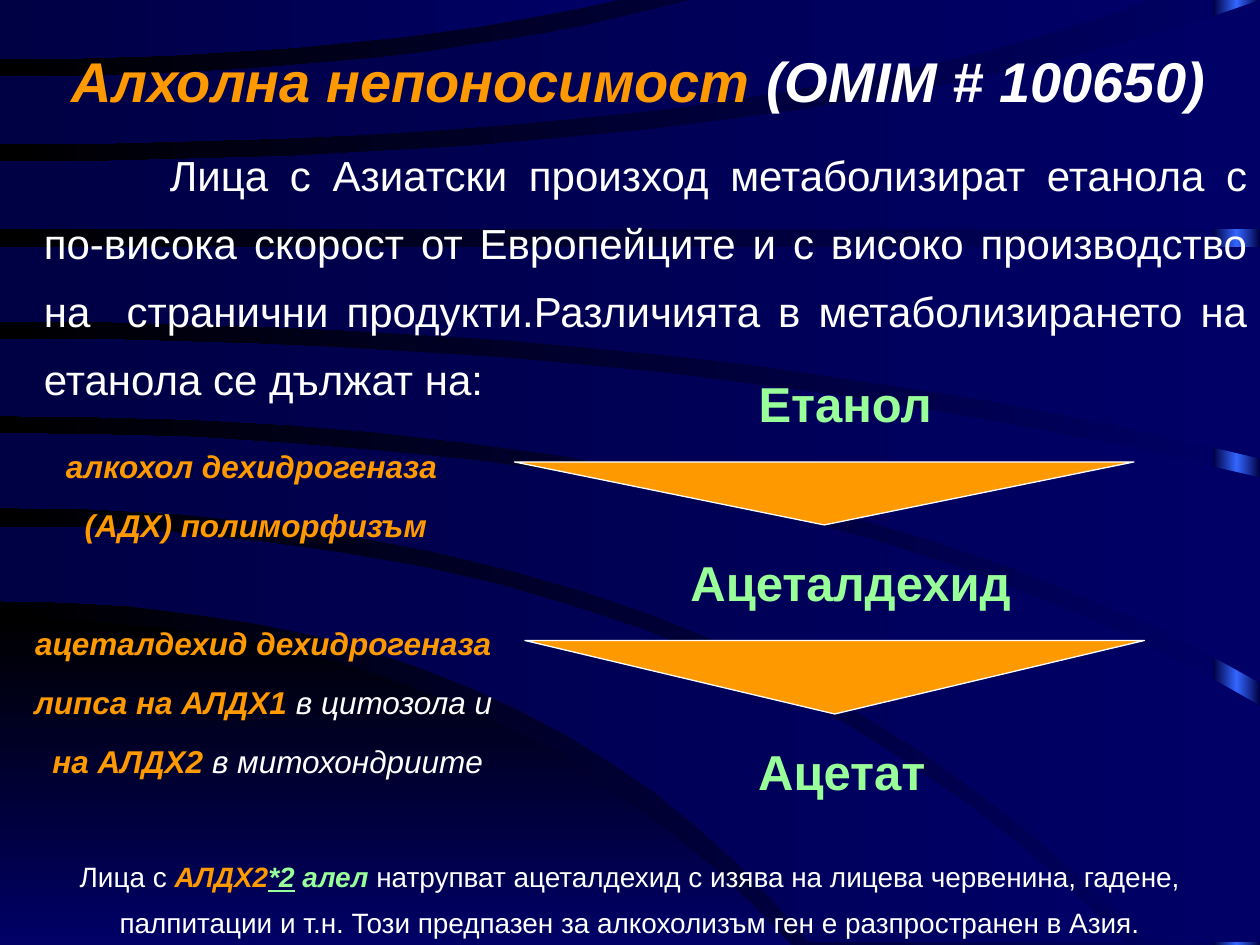
"""Build a slide on alcohol intolerance and the steps of ethanol breakdown."""
from copy import deepcopy

from pptx import Presentation
from pptx.dml.color import RGBColor
from pptx.enum.shapes import MSO_SHAPE
from pptx.enum.text import MSO_ANCHOR, PP_ALIGN
from pptx.oxml.ns import qn
from pptx.util import Pt

HUES = {"navy": "000066", "dusk": "000044", "black": "000000", "glow": "3366FF",
        "gold": "FF9900", "white": "FFFFFF", "mint": "99FF99"}
STEPS = 16
WAVES = [
    ((491, 392, 628, 750), (750, 314, 628, 750)),
    ((418, 576, 893, 748), (477, 423, 642, 748)),
    ((344, 640, 1000, 560), (403, 588, 909, 748)),
    ((269, 554, 1000, 379), (330, 630, 1000, 542)),
    ((196, 500, 1000, 196), (255, 564, 1000, 364)),
    ((128, 640, 1000, 0), (182, 500, 1000, 182)),
    ((61, 326, 549, 0), (114, 610, 913, 0)),
    ((0, 245, 491, 0), (47, 280, 491, 0)),
]


def blend(fill, first, last, angle=180):
    fill.gradient()
    fill.gradient_angle = angle
    for stop, hue in zip(fill.gradient_stops, (first, last)):
        stop.color.rgb = RGBColor.from_string(HUES[hue])


def write(frame, lines, size, align=PP_ALIGN.CENTER, gap=0, lead=None):
    for i, runs in enumerate(lines):
        para = frame.add_paragraph() if i else frame.paragraphs[0]
        para.alignment = align
        if i:
            para.space_before = Pt(gap)
        if lead:
            para.line_spacing = lead
        para.font.name, para.font.size = "Arial", Pt(size)
        for text, hue, marks in runs:
            run = para.add_run()
            run.text = text
            font = run.font if len(runs) > 1 else para.font
            font.color.rgb = RGBColor.from_string(HUES[hue])
            font.bold, font.italic = "b" in marks, "i" in marks
            if "u" in marks:
                font.underline = True


deck = Presentation()
deck.slide_width, deck.slide_height = Pt(720), Pt(540)
slide = deck.slides.add_slide(deck.slide_layouts[5])
shapes = slide.shapes
blend(slide.background.fill, "navy", "black")

bar = shapes.add_shape(MSO_SHAPE.RECTANGLE, Pt(693.4), 0, Pt(26.6), Pt(540))
bar.shadow.inherit = False
bar.line.fill.background()
blend(bar.fill, "dusk", "dusk")
stops = bar._element.spPr.find(qn("a:gradFill")).find(qn("a:gsLst"))
stops.insert(1, deepcopy(stops[0]))
stops[1].set("pos", "50000")
bar.fill.gradient_stops[1].color.rgb = RGBColor.from_string(HUES["glow"])

for i, edges in enumerate(WAVES):
    curves = []
    for start, bend, right, end in edges:
        curve = []
        for step in range(STEPS + 1):
            t = step / STEPS
            curve.append((2 * t * (1 - t) * bend + t * t * right,
                          (1 - t * t) * start + t * t * end))
        curves.append(curve)
    upper, lower = curves
    corner = (max(upper[-1][0], lower[-1][0]), max(upper[-1][1], lower[-1][1]))
    dots = upper + [corner] + lower[::-1]
    pen = shapes.build_freeform(*dots[0], scale=Pt(0.72))
    pen.add_line_segments(dots[1:], close=True)
    wave = pen.convert_to_shape()
    wave.shadow.inherit = False
    wave.line.fill.background()
    if i:
        blend(wave.fill, "navy", "dusk")
    else:
        blend(wave.fill, "black", "navy", 270)

title = shapes.title
shapes._spTree.append(title._element)
title.left, title.top, title.width, title.height = Pt(30), Pt(0), Pt(690), Pt(66)
frame = title.text_frame
frame.vertical_anchor = MSO_ANCHOR.BOTTOM
frame.margin_left, frame.margin_right, frame.margin_bottom = 0, Pt(20), Pt(1)
write(frame, [[("Алхолна непоносимост ", "gold", "bi"),
               ("(OMIM # 100650)", "white", "bi")]], 32)

intro = shapes.add_textbox(Pt(18), Pt(72), Pt(702), Pt(163)).text_frame
intro.word_wrap = True
write(intro, [[("Лица с Азиатски произход метаболизират етанола с по-висока скорост "
                "от Европейците и с високо производство на  странични продукти."
                "Различията в метаболизирането на етанола се дължат на:",
                "white", "")]], 24, PP_ALIGN.JUSTIFY, lead=1.35)
intro.paragraphs[0]._p.get_or_add_pPr().set("indent", str(Pt(72)))

for left, top, high in [(294, 264, 36), (300, 366, 42)]:
    arrow = shapes.add_shape(MSO_SHAPE.FLOWCHART_MERGE, Pt(left), Pt(top), Pt(354), Pt(high))
    arrow.shadow.inherit = False
    arrow.fill.solid()
    arrow.fill.fore_color.rgb = RGBColor.from_string(HUES["gold"])
    arrow.line.color.rgb = RGBColor.from_string(HUES["white"])
    arrow.line.width = Pt(0.75)

notes = [
    (426, 210, 114, 41, 28, [[("Етанол", "mint", "b")]]),
    (366, 312, 240, 41, 28, [[("Ацеталдехид", "mint", "b")]]),
    (426, 420, 110, 41, 28, [[("Ацетат", "mint", "b")]]),
    (30, 252, 232.5, 62, 18, [[("алкохол дехидрогеназа ", "gold", "bi")],
                              [("(AДХ) полиморфизъм", "gold", "bi")]]),
    (12, 353.5, 277, 95, 18, [
        [("ацеталдехид дехидрогеназа", "gold", "bi")],
        [("липса на AЛДХ1 ", "gold", "bi"), ("в цитозола и", "white", "i")],
        [(" на AЛДХ2 ", "gold", "bi"), ("в митохондриите", "white", "i")]]),
]
for left, top, wide, high, size, lines in notes:
    frame = shapes.add_textbox(Pt(left), Pt(top), Pt(wide), Pt(high)).text_frame
    frame.word_wrap = False
    frame.vertical_anchor = MSO_ANCHOR.MIDDLE
    write(frame, lines, size, gap=12)

foot = shapes.add_textbox(Pt(0), Pt(481), Pt(720), Pt(59)).text_frame
foot.word_wrap = True
foot.vertical_anchor = MSO_ANCHOR.MIDDLE
write(foot, [[("Лица с ", "white", ""), ("AЛДХ2", "gold", "bi"), ("*2", "mint", "biu"),
              (" ", "gold", "bi"), ("алел", "mint", "bi"),
              (" натрупват ацеталдехид с изява на лицева червенина, гадене, палпитации "
               "и т.н. Този предпазен за алкохолизъм ген е разпространен в Азия.",
               "white", "")]], 16, lead=1.35)

deck.save("out.pptx")
